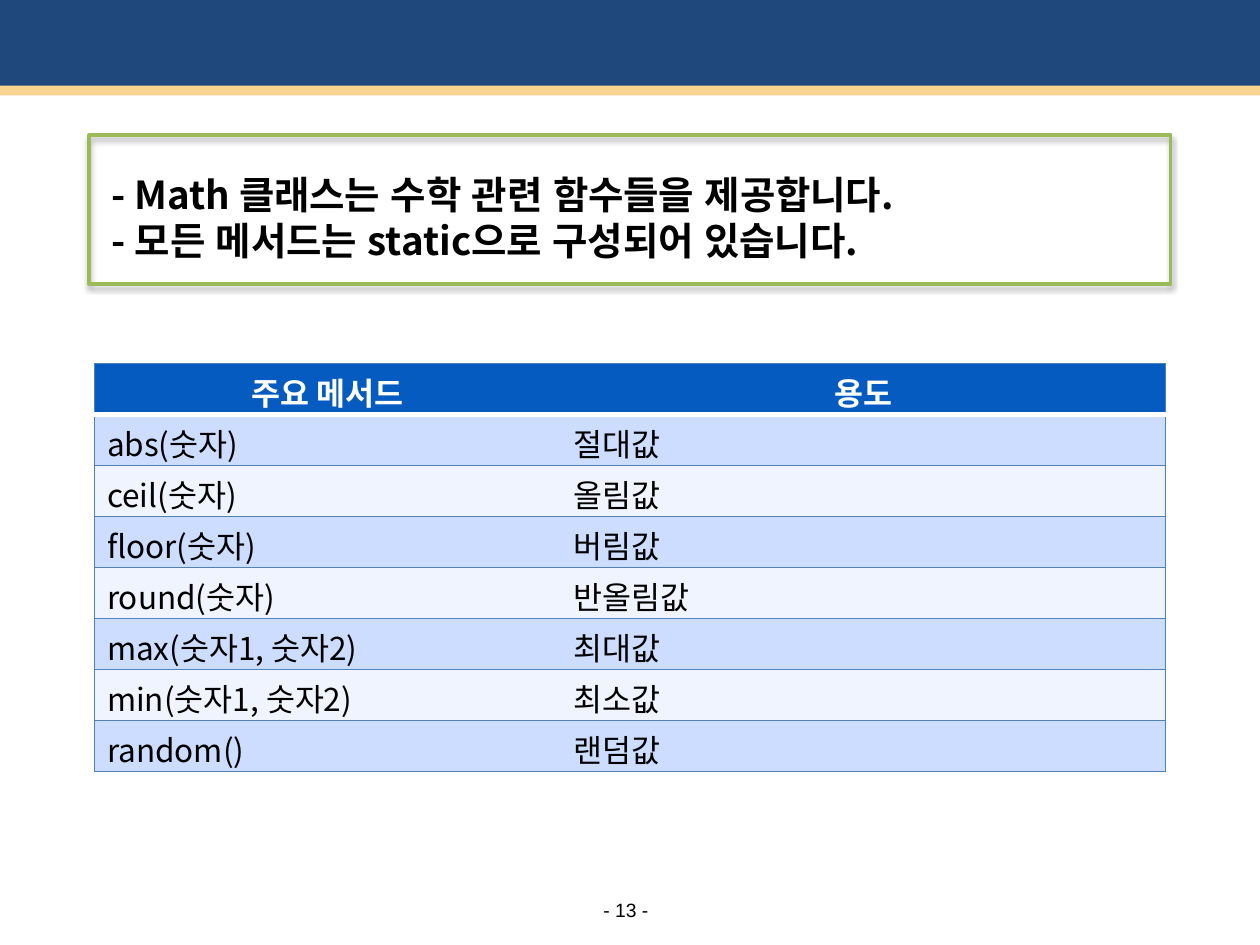
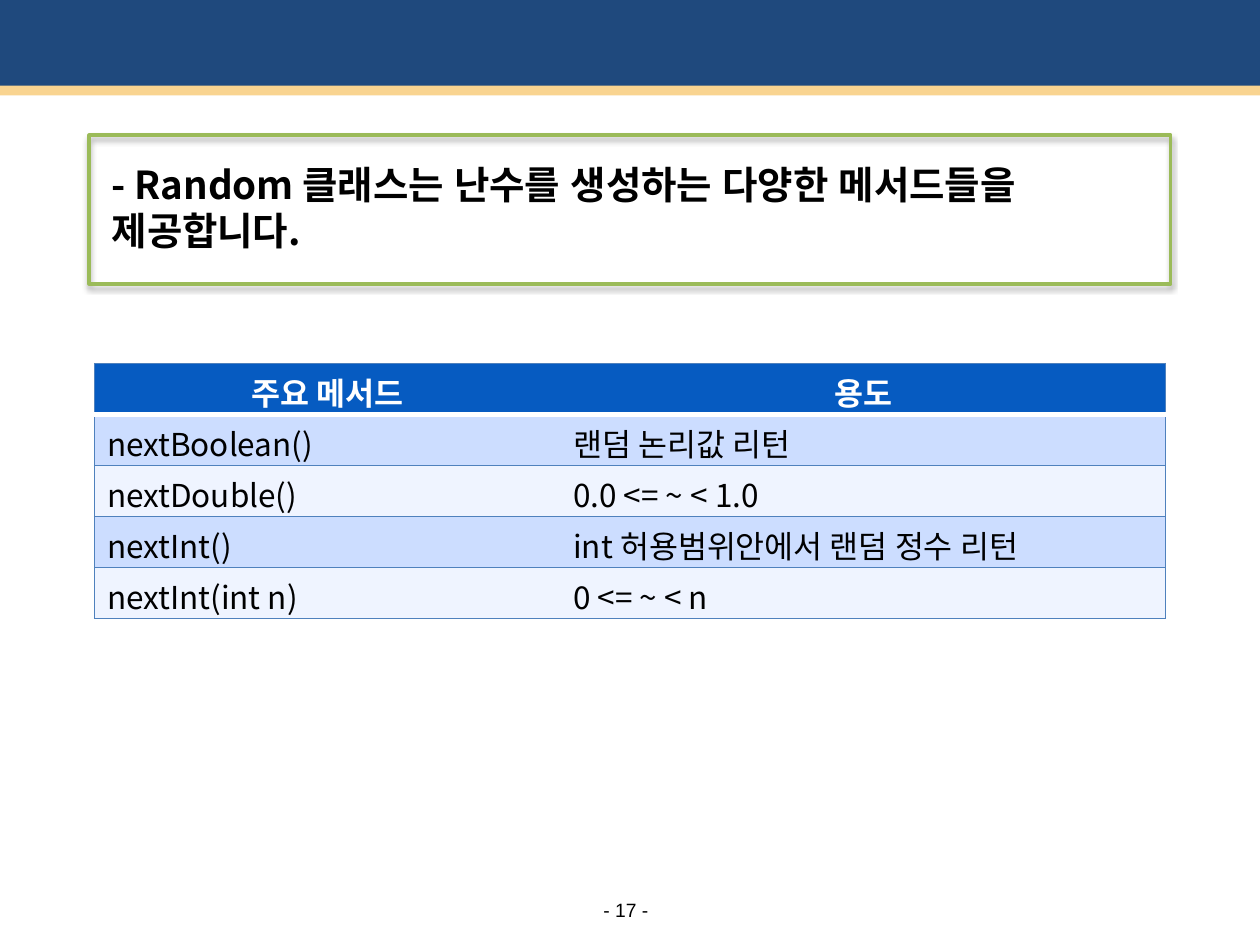
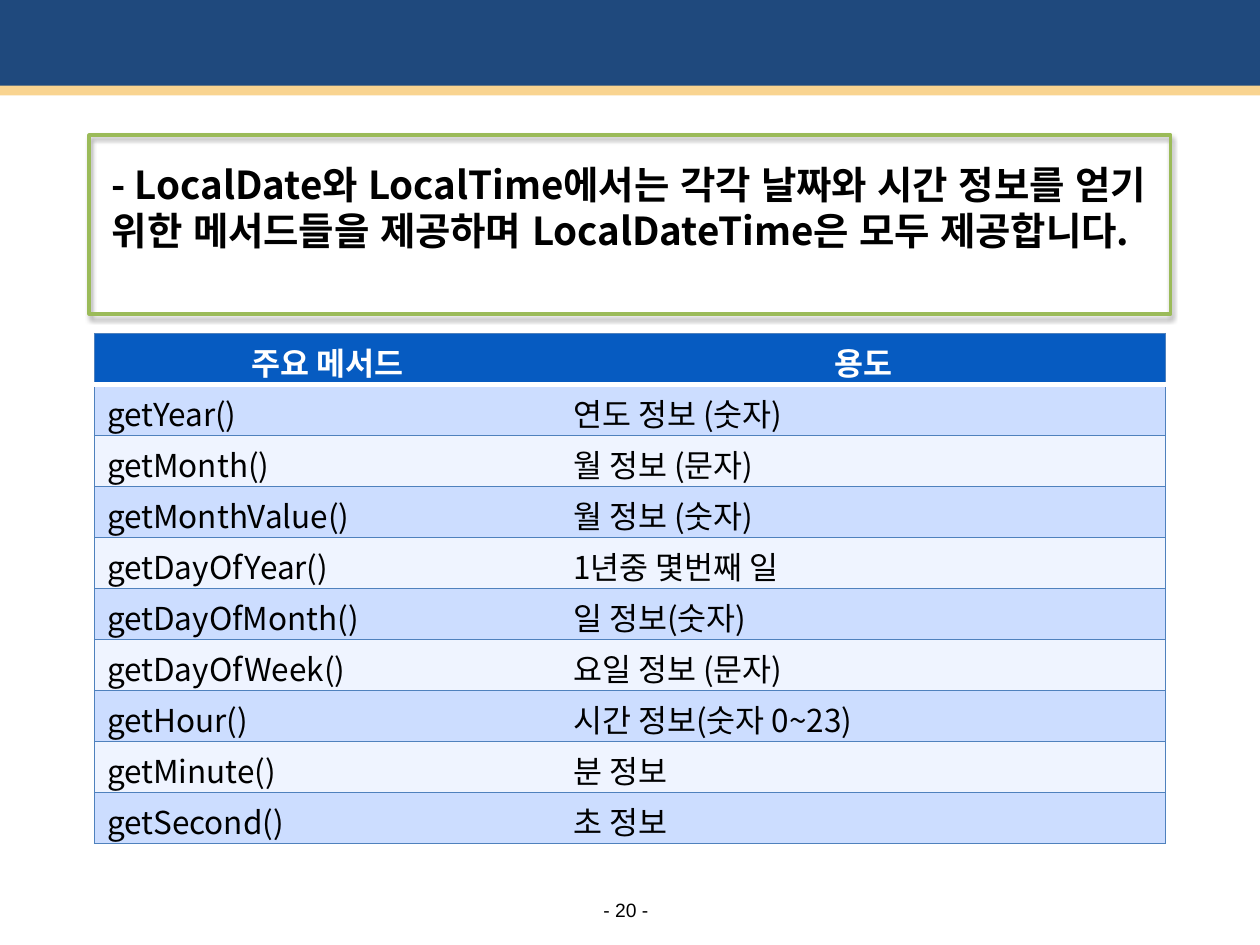
from pptx import Presentation, util as u
from pptx.dml.color import RGBColor
from pptx.enum import shapes, text
from pptx.oxml import parse_xml
from pptx.oxml.ns import nsdecls

Pt = u.Pt
LATIN, KOREAN = "Arial", "Noto Sans CJK KR"
NAVY, SAND, GREEN = "1F497D", "F9D490", "9BBB59"
HEADER, STRIPES, RULE = "065BC1", ("CCDDFF", "EFF4FF"), "4F81BD"
WHITE, BLACK = "FFFFFF", "000000"
PAGE_WIDTH, PAGE_HEIGHT = 720, 540
COLUMN_WIDTHS = (266.4, 345.6)
ROW_HEIGHT = 29.16
TABLE_HEAD = ("주요 메서드", "용도")

PAGES = [
    {
        "number": 13,
        "summary": ["- Math 클래스는 수학 관련 함수들을 제공합니다.",
                    "- 모든 메서드는 static으로 구성되어 있습니다."],
        "summary_top": 94.3, "summary_height": 59, "frame_height": 85, "table_top": 207.8,
        "methods": [
            ("abs(숫자)", "절대값"),
            ("ceil(숫자)", "올림값"),
            ("floor(숫자)", "버림값"),
            ("round(숫자)", "반올림값"),
            ("max(숫자1, 숫자2)", "최대값"),
            ("min(숫자1, 숫자2)", "최소값"),
            ("random()", "랜덤값"),
        ],
    },
    {
        "number": 17,
        "summary": ["- Random 클래스는 난수를 생성하는 다양한 메서드들을 제공합니다."],
        "summary_top": 88.6, "summary_height": 59, "frame_height": 85, "table_top": 207.8,
        "methods": [
            ("nextBoolean()", "랜덤 논리값 리턴"),
            ("nextDouble()", "0.0 <= ~ < 1.0"),
            ("nextInt()", "int 허용범위안에서 랜덤 정수 리턴"),
            ("nextInt(int n)", "0 <= ~ < n"),
        ],
    },
    {
        "number": 20,
        "summary": ["- LocalDate와 LocalTime에서는 각각 날짜와 시간 정보를 얻기 위한 "
                    "메서드들을 제공하며 LocalDateTime은 모두 제공합니다."],
        "summary_top": 88.6, "summary_height": 85.7, "frame_height": 102.2, "table_top": 190.7,
        "methods": [
            ("getYear()", "연도 정보 (숫자)"),
            ("getMonth()", "월 정보 (문자)"),
            ("getMonthValue()", "월 정보 (숫자)"),
            ("getDayOfYear()", "1년중 몇번째 일"),
            ("getDayOfMonth()", "일 정보(숫자)"),
            ("getDayOfWeek()", "요일 정보 (문자)"),
            ("getHour()", "시간 정보(숫자 0~23)"),
            ("getMinute()", "분 정보"),
            ("getSecond()", "초 정보"),
        ],
    },
]


def color(value):
    return RGBColor.from_string(value)


def set_all(target, values):
    for name, value in values.items():
        setattr(target, name, value)


def xml(markup):
    """Parse one drawing element given without its namespace."""
    tag, rest = markup[1:].split(" ", 1)
    return parse_xml(f"<{tag} {nsdecls('a')} {rest}")


def write(frame, lines, size, ink=BLACK, font=KOREAN, asian=KOREAN,
          bold=False, align=None, pitch=None):
    """Fill a text frame, one paragraph a line."""
    for index, line in enumerate(lines):
        para = frame.add_paragraph() if index else frame.paragraphs[0]
        set_all(para, {"alignment": align, "line_spacing": Pt(pitch) if pitch else None})
        span = para.add_run()
        span.text = line
        span.font.color.rgb = color(ink)
        set_all(span.font, {"size": Pt(size), "bold": bold, "name": font})
        span.font._element.append(xml(f'<a:ea typeface="{asian}"/>'))


def add_text(page, place, lines, size, frame_format, **style):
    frame = page.shapes.add_textbox(*map(Pt, place)).text_frame
    set_all(frame, {"word_wrap": True, **frame_format})
    write(frame, lines, size, **style)


def add_band(page, top, height, fill):
    band = page.shapes.add_shape(shapes.MSO_SHAPE.RECTANGLE,
                                 0, Pt(top), Pt(PAGE_WIDTH), Pt(height))
    band.shadow.inherit = False
    band.fill.solid()
    band.fill.fore_color.rgb = color(fill)
    band.line.fill.background()


def add_chrome(page, number):
    """Add the top bands and the page number."""
    add_band(page, -2.2, 54.7, NAVY)
    add_text(page, (342.2, 512.9, 31, 13.7), [f"- {number} -"], 11,
             {"vertical_anchor": text.MSO_ANCHOR.MIDDLE, "word_wrap": False,
              "margin_left": 0, "margin_right": 0, "margin_top": 0, "margin_bottom": 0},
             font=LATIN, align=text.PP_ALIGN.CENTER)
    add_band(page, 49, 5.5, SAND)


def add_summary(page, lines, top, height, frame_height):
    frame = page.shapes.add_shape(shapes.MSO_SHAPE.FLOWCHART_PROCESS,
                                  Pt(51), Pt(77.2), Pt(618), Pt(frame_height))
    frame.fill.background()
    frame.line.color.rgb = color(GREEN)
    frame.line.width = Pt(2)
    frame._element.spPr.append(xml(
        f'<a:effectLst ><a:outerShdw blurRad="{Pt(3.1)}" dist="{Pt(1.8)}" dir="5400000" '
        f'rotWithShape="0"><a:srgbClr val="{BLACK}"><a:alpha val="35000"/></a:srgbClr>'
        '</a:outerShdw></a:effectLst>'))
    add_text(page, (56.9, top, 607, height), lines, 22,
             {"margin_top": Pt(3.2), "margin_bottom": 0},
             asian=LATIN, bold=True, pitch=26.5)


def set_borders(cell, borders):
    """Give each side a (colour, width), or None for no line."""
    properties = cell._tc.get_or_add_tcPr()
    for index, (side, border) in enumerate(borders.items()):
        ink, width = border or (WHITE, 0)
        fill = f'<a:solidFill><a:srgbClr val="{ink}"/></a:solidFill>' if border else "<a:noFill/>"
        properties.insert(index, xml(f'<a:{side} w="{Pt(width)}">{fill}</a:{side}>'))


def add_method_table(page, top, methods):
    rows = [TABLE_HEAD, *methods]
    table = page.shapes.add_table(len(rows), len(TABLE_HEAD), Pt(54), Pt(top),
                                  Pt(sum(COLUMN_WIDTHS)), Pt(ROW_HEIGHT * len(rows))).table
    set_all(table, {"first_row": False, "horz_banding": False})
    for column, width in zip(table.columns, COLUMN_WIDTHS):
        column.width = Pt(width)
    thin, thick = (RULE, 1), (WHITE, 3)
    for i, row in enumerate(rows):
        table.rows[i].height = Pt(ROW_HEIGHT)
        head = i == 0
        style = {"ink": WHITE, "bold": True, "align": text.PP_ALIGN.CENTER} if head else {}
        for j, words in enumerate(row):
            cell = table.cell(i, j)
            set_all(cell, {"margin_top": Pt(3.6), "margin_bottom": 0})
            cell.fill.solid()
            cell.fill.fore_color.rgb = color(HEADER if head else STRIPES[(i - 1) % 2])
            write(cell.text_frame, [words], 18, pitch=25.5, **style)
            set_borders(cell, {
                "lnL": thin if j == 0 else None,
                "lnR": thin if j == len(row) - 1 else None,
                "lnT": thick if i == 1 else thin,
                "lnB": thick if head else thin,
            })


def main():
    deck = Presentation()
    set_all(deck, {"slide_width": Pt(PAGE_WIDTH), "slide_height": Pt(PAGE_HEIGHT)})
    for content in PAGES:
        page = deck.slides.add_slide(deck.slide_layouts[6])
        add_chrome(page, content["number"])
        add_summary(page, content["summary"], content["summary_top"],
                    content["summary_height"], content["frame_height"])
        add_method_table(page, content["table_top"], content["methods"])
    deck.save("out.pptx")


if __name__ == "__main__":
    main()
